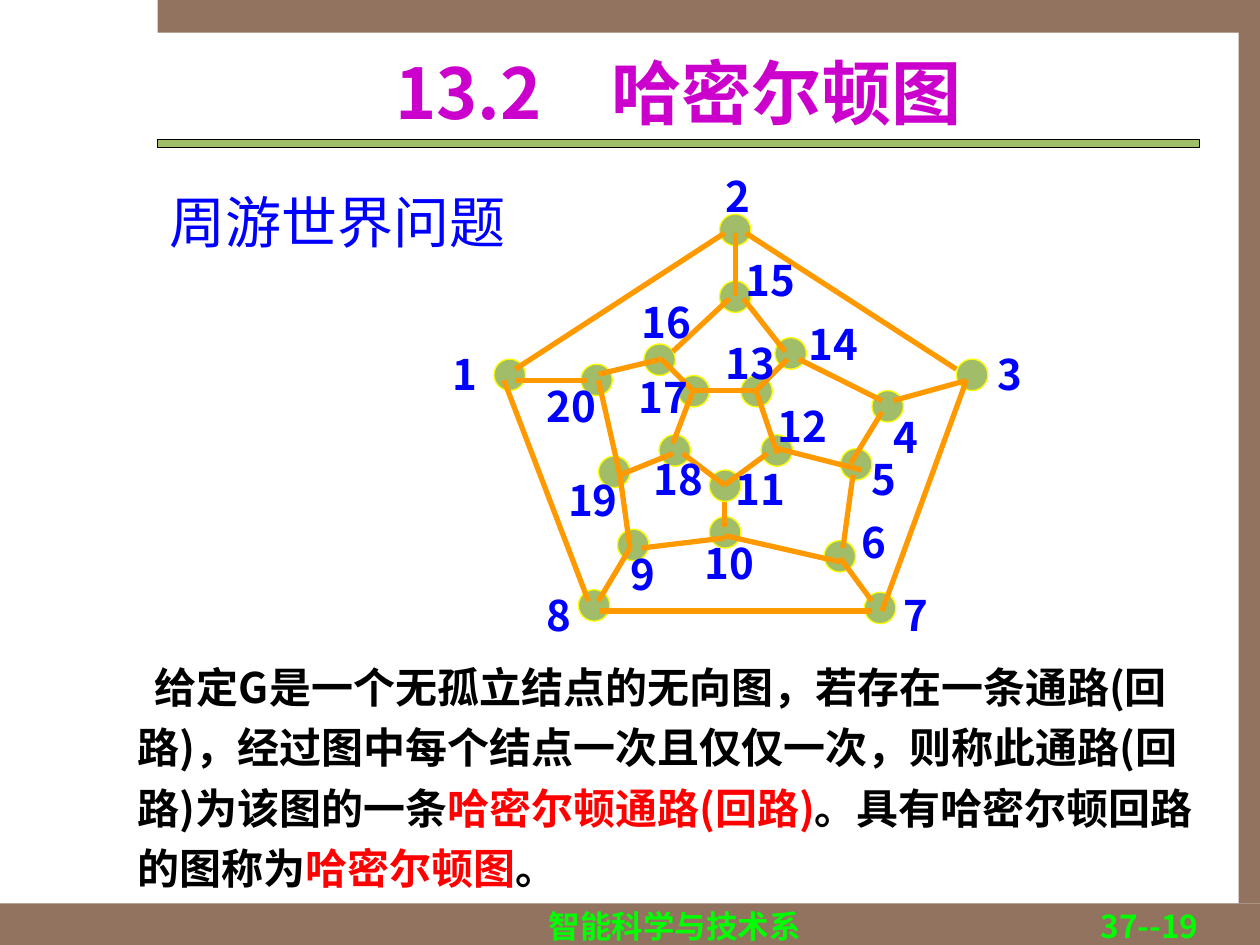
from pptx import Presentation
from pptx.dml.color import RGBColor
from pptx.enum.shapes import MSO_CONNECTOR, MSO_SHAPE
from pptx.enum.text import MSO_ANCHOR, PP_ALIGN
from pptx.oxml.ns import qn
from pptx.util import Inches, Pt
from lxml import etree

LEFT, CENTER, RIGHT = PP_ALIGN.LEFT, PP_ALIGN.CENTER, PP_ALIGN.RIGHT
TOP, MIDDLE = MSO_ANCHOR.TOP, MSO_ANCHOR.MIDDLE
RECTANGLE, OVAL = MSO_SHAPE.RECTANGLE, MSO_SHAPE.OVAL
STRAIGHT = MSO_CONNECTOR.STRAIGHT

BROWN = RGBColor(0x91, 0x73, 0x5F)
SAGE = RGBColor(0xA1, 0xBD, 0x69)
BLACK = RGBColor(0, 0, 0)
YELLOW = RGBColor(0xFF, 0xFF, 0)
ORANGE = RGBColor(0xFF, 0x99, 0)
GREEN = RGBColor(0, 0xFF, 0)
PURPLE = RGBColor(0xCC, 0, 0xCC)
BLUE = RGBColor(0, 0, 0xFF)
RED = RGBColor(0xFF, 0, 0)

FONT = "Noto Sans CJK SC"
WIDTH, HEIGHT = 10, 7.5
CONTENT_LEFT, CONTENT_WIDTH = 1.25, 8.27
FOOTER_TOP, FOOTER_HEIGHT = 7.15, 0.18
NODE_SIZE = 0.25
DIGIT_WIDTH, LABEL_HEIGHT = 0.25, 0.4
BOX_INSETS = (0.1, 0.05)

FRAME_BARS = [
    (0, 7.17, WIDTH, 0.33),
    (CONTENT_LEFT, 0, WIDTH - CONTENT_LEFT, 0.26),
    (9.83, 0.25, 0.17, 6.92),
]
TITLE_RULE = (CONTENT_LEFT, 1.11, CONTENT_WIDTH, 0.06)

DEFINITION = [
    ("给定G是一个无孤立结点的无向图，若存在一条通路(回路)，"
     "经过图中每个结点一次且仅仅一次，则称此通路(回路)为该图的一条", BLACK),
    ("哈密尔顿通路(回路)", RED),
    ("。具有哈密尔顿回路的图称为", BLACK),
    ("哈密尔顿图", RED),
    ("。", BLACK),
]

# vertex number: (node left, node top, label left, label top)
VERTICES = {
    1: (3.92, 2.85, 3.59, 2.77), 2: (5.71, 1.7, 5.76, 1.35),
    3: (7.59, 2.85, 7.92, 2.77), 4: (6.92, 3.1, 7.09, 3.27),
    5: (6.67, 3.56, 6.92, 3.6), 6: (6.54, 4.29, 6.84, 4.1),
    7: (6.86, 4.7, 7.17, 4.68), 8: (4.59, 4.68, 4.34, 4.68),
    9: (4.9, 4.2, 5, 4.35), 10: (5.63, 4.1, 5.59, 4.27),
    11: (5.63, 3.73, 5.84, 3.68), 12: (6.04, 3.45, 6.17, 3.18),
    13: (5.88, 2.98, 5.76, 2.68), 14: (6.15, 2.68, 6.42, 2.53),
    15: (5.71, 2.23, 5.92, 2.02), 16: (5.11, 2.73, 5.09, 2.35),
    17: (5.38, 2.98, 5.07, 2.95), 18: (5.23, 3.45, 5.19, 3.6),
    19: (4.75, 3.62, 4.51, 3.77), 20: (4.61, 2.89, 4.34, 3.02),
}
FRONT_VERTICES = [11, 13]
BACK_VERTICES = [number for number in VERTICES if number not in FRONT_VERTICES]

# (start x, start y, end x, end y)
BACK_EDGES = [
    (4.09, 2.93, 5.75, 1.85), (5.92, 1.85, 7.59, 2.93),
    (7.67, 3.02, 7, 4.85), (4.75, 4.85, 6.92, 4.85),
    (4, 3.02, 4.67, 4.77), (4.09, 3.02, 4.67, 3.02),
    (5.84, 1.85, 5.84, 2.35), (6.67, 4.43, 6.92, 4.77),
    (7.09, 3.18, 7.67, 3.02), (6.34, 2.85, 7, 3.18),
    (7, 3.27, 6.75, 3.68), (6.17, 3.56, 6.84, 3.73),
    (6.77, 3.77, 6.69, 4.35), (5.75, 4.25, 6.67, 4.46),
    (5, 4.35, 4.75, 4.77), (5.09, 4.35, 5.75, 4.27),
    (4.92, 3.77, 5, 4.35), (4.75, 3.02, 4.92, 3.77),
    (5.79, 2.37, 5.34, 2.79), (4.75, 2.97, 5.25, 2.85),
    (5.25, 2.85, 5.5, 3.1), (4.92, 3.77, 5.34, 3.6),
    (5.75, 3.85, 5.75, 4.18),
]
FRONT_EDGES = [
    (5.5, 3.1, 5.34, 3.52), (5.42, 3.6, 5.75, 3.85),
    (6.09, 3.6, 5.75, 3.85), (5.5, 3.1, 6, 3.1),
    (5.9, 2.37, 6.23, 2.79), (6.25, 2.85, 6, 3.1),
    (6, 3.1, 6.17, 3.6),
]


def inches(lengths):
    return [Inches(length) for length in lengths]


def add_filled(shapes, kind, place, fill, outline=None):
    shape = shapes.add_shape(kind, *inches(place))
    shape.shadow.inherit = False
    shape.fill.solid()
    shape.fill.fore_color.rgb = fill
    if outline is None:
        shape.line.fill.background()
    else:
        shape.line.color.rgb = outline
        shape.line.width = Pt(0.75)


def add_edge(shapes, ends):
    edge = shapes.add_connector(STRAIGHT, *inches(ends))
    edge.line.color.rgb = ORANGE
    edge.line.width = Pt(3)
    etree.SubElement(edge._element.spPr, qn("a:effectLst"))


def add_text(shapes, place, runs, size, bold=True, align=LEFT, anchor=TOP,
             insets=(0, 0), spacing=None, first_indent=0):
    """Add a one-paragraph text box; runs are (text, colour) pairs."""
    frame = shapes.add_textbox(*inches(place)).text_frame
    frame.word_wrap = True
    frame.vertical_anchor = anchor
    frame.margin_left = frame.margin_right = Inches(insets[0])
    frame.margin_top = frame.margin_bottom = Inches(insets[1])
    paragraph = frame.paragraphs[0]
    paragraph.alignment = align
    if spacing:
        paragraph.line_spacing = spacing
    if first_indent:
        paragraph._p.get_or_add_pPr().set("indent", str(Inches(first_indent)))
    for text, color in runs:
        run = paragraph.add_run()
        run.text = text
        font = run.font
        font.size, font.bold, font.name = Pt(size), bold, FONT
        font.color.rgb = color
        east_asian = etree.SubElement(run._r.get_or_add_rPr(), qn("a:ea"))
        east_asian.set("typeface", FONT)


def add_graph(shapes):
    layers = [(BACK_VERTICES, BACK_EDGES), (FRONT_VERTICES, FRONT_EDGES)]
    for numbers, edges in layers:
        for number in numbers:
            left, top = VERTICES[number][:2]
            add_filled(shapes, OVAL, (left, top, NODE_SIZE, NODE_SIZE), SAGE, YELLOW)
        for ends in edges:
            add_edge(shapes, ends)
    for number, (_, _, left, top) in VERTICES.items():
        label = str(number)
        place = (left, top, DIGIT_WIDTH * len(label), LABEL_HEIGHT)
        add_text(shapes, place, [(label, BLUE)], 24)


def main():
    presentation = Presentation()
    presentation.slide_width, presentation.slide_height = inches((WIDTH, HEIGHT))
    slide = presentation.slides.add_slide(presentation.slide_layouts[6])
    shapes = slide.shapes

    for bar in FRAME_BARS:
        add_filled(shapes, RECTANGLE, bar, BROWN)
    add_filled(shapes, RECTANGLE, TITLE_RULE, SAGE, BLACK)
    add_text(shapes, (3.19, FOOTER_TOP, 4.33, FOOTER_HEIGHT),
             [("智能科学与技术系", GREEN)], 18, align=CENTER, insets=BOX_INSETS)
    add_text(shapes, (7.53, FOOTER_TOP, 2.08, FOOTER_HEIGHT),
             [("37--19", GREEN)], 18, align=RIGHT, insets=BOX_INSETS)
    add_text(shapes, (CONTENT_LEFT, 0.33, CONTENT_WIDTH, 0.79),
             [("13.2　哈密尔顿图", PURPLE)], 40, align=CENTER, anchor=MIDDLE)
    add_text(shapes, (CONTENT_LEFT, 1.33, 3, 0.74), [("周游世界问题", BLUE)], 32,
             bold=False, insets=BOX_INSETS, spacing=1.2)
    add_text(shapes, (1.09, 5.17, 8.66, 1.92), DEFINITION, 24,
             spacing=1.2, first_indent=0.14)
    add_graph(shapes.add_group_shape().shapes)

    presentation.save("out.pptx")


if __name__ == "__main__":
    main()
